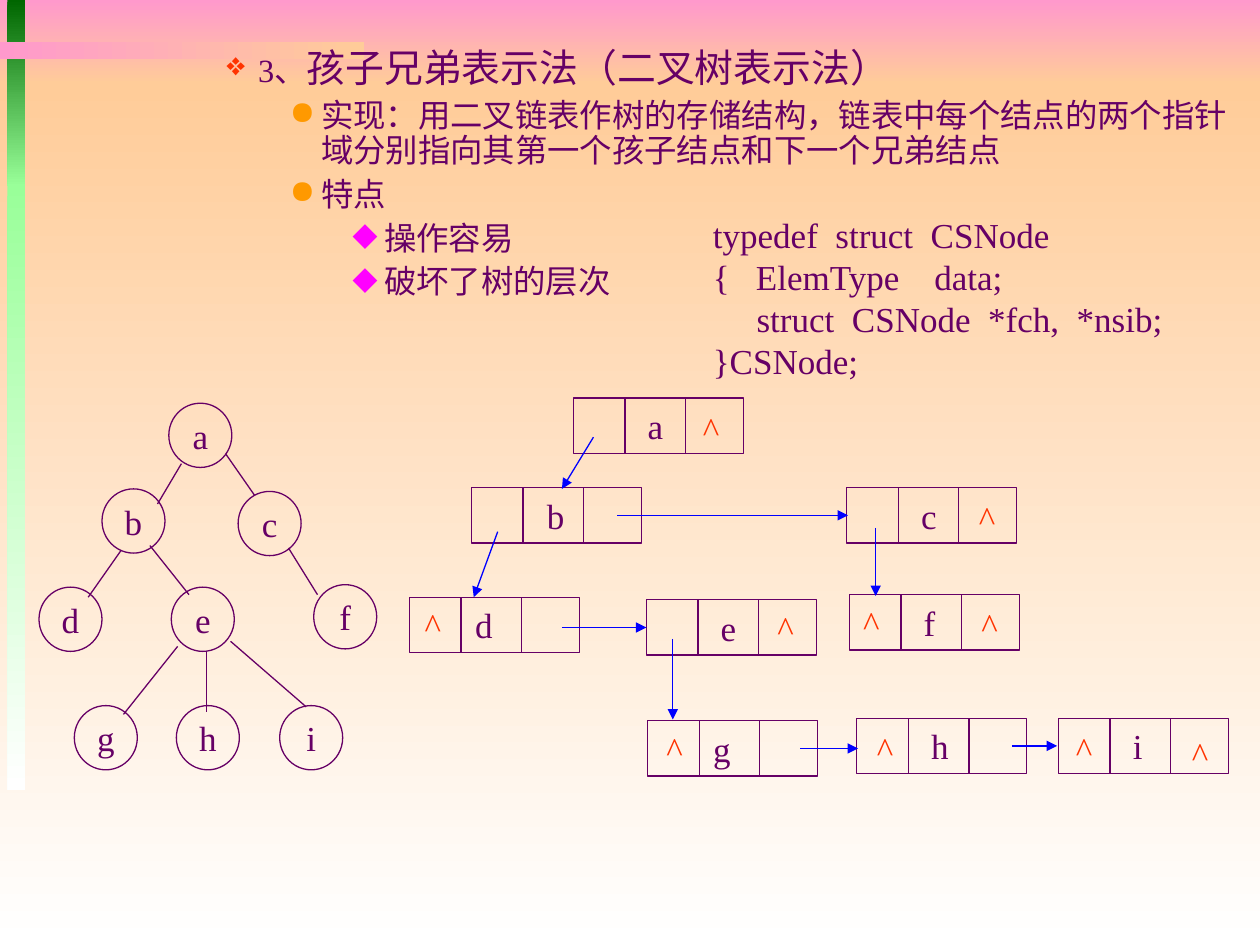
from dataclasses import dataclass

from lxml import etree
from pptx import Presentation
from pptx.dml.color import RGBColor
from pptx.enum.shapes import MSO_CONNECTOR, MSO_SHAPE
from pptx.enum.text import MSO_ANCHOR, PP_ALIGN
from pptx.oxml.ns import qn
from pptx.util import Inches, Pt

STRAIGHT = MSO_CONNECTOR.STRAIGHT
RECTANGLE, OVAL = MSO_SHAPE.RECTANGLE, MSO_SHAPE.OVAL
MIDDLE = MSO_ANCHOR.MIDDLE
LEFT, CENTER = PP_ALIGN.LEFT, PP_ALIGN.CENTER
SERIF, SANS = "Times New Roman", "Arial"
COLORS = {
    "ink": "660066", "mark": "FF3300", "link": "0000FF", "orange": "FF9900",
    "magenta": "FF00FF", "pink": "FF99CC", "peach": "FFCC99", "white": "FFFFFF",
    "dark_green": "006600", "light_green": "99FF99",
}
CELL_WIDTH, CELL_HEIGHT = 1.35, 0.44
DIVIDERS = (0.41, 0.89)
NODE_WIDTH, NODE_HEIGHT = 0.5, 0.51


@dataclass
class Band:
    left: float
    top: float
    width: float
    height: float
    start: str
    end: str
    angle: int = 270


@dataclass
class Bullet:
    symbol: str
    color: str
    indent: float
    runs: tuple
    before: float = 5


@dataclass
class Node:
    label: str
    left: float
    top: float


@dataclass
class Record:
    label: str
    left: float
    top: float
    inset: float
    marks: tuple = ()


BANDS = [
    Band(0, 0, 10, 0.67, "pink", "peach"),
    Band(0, 0.67, 10, 6.83, "peach", "white"),
    Band(0.06, 0, 0.14, 1.48, "dark_green", "light_green"),
    Band(0.06, 1.46, 0.14, 4.81, "light_green", "white"),
    Band(0, 0.33, 2.89, 0.14, "pink", "peach", 0),
]
BULLETS = [
    Bullet("❖", "mark", 1.25, (("3、", 18.5, SERIF), ("孩子兄弟表示法（二叉树表示法）", 22.2, SANS)), 0),
    Bullet("●", "orange", 1.75, (("实现：用二叉链表作树的存储结构，链表中每个结点的两个指针域分别指向其第一个孩子结点和下一个兄弟结点", 18.5, SANS),)),
    Bullet("●", "orange", 1.75, (("特点", 18.5, SANS),)),
    Bullet("◆", "magenta", 2.25, (("操作容易", 18.5, SANS),)),
    Bullet("◆", "magenta", 2.25, (("破坏了树的层次", 18.5, SANS),)),
]
CODE = [
    "typedef  struct  CSNode",
    "{   ElemType    data;",
    "     struct  CSNode  *fch,  *nsib;",
    "}CSNode;",
]
NODES = [
    Node("a", 1.34, 3.2), Node("b", 0.81, 3.88), Node("c", 1.89, 3.9),
    Node("d", 0.31, 4.66), Node("e", 1.36, 4.66), Node("f", 2.49, 4.64),
    Node("g", 0.59, 5.6), Node("h", 1.4, 5.6), Node("i", 2.22, 5.6),
]
EDGES = [
    (1.44, 3.68, 1.25, 4), (0.96, 4.37, 0.7, 4.74), (1.79, 3.6, 2.02, 3.93),
    (1.19, 4.33, 1.5, 4.72), (2.29, 4.35, 2.52, 4.72), (1.64, 5.17, 1.64, 5.65),
    (1.41, 5.13, 0.98, 5.67), (1.83, 5.09, 2.43, 5.61),
]
RECORDS = [
    Record("a", 4.55, 3.16, 0.59, ((0.93, 0.02),)),
    Record("b", 3.74, 3.87, 0.6),
    Record("c", 6.72, 3.87, 0.59, ((0.95, 0.02),)),
    Record("d", 3.25, 4.74, 0.52, ((0.02, 0),)),
    Record("e", 5.13, 4.76, 0.59, ((0.94, 0),)),
    Record("f", 6.74, 4.72, 0.59, ((0.01, 0), (0.95, 0.02))),
    Record("g", 5.14, 5.72, 0.52, ((0.05, 0),)),
    Record("h", 6.8, 5.7, 0.59, ((0.06, 0.02),)),
    Record("i", 8.4, 5.7, 0.59, ((0.04, 0.02), (0.96, 0.06))),
]
POINTERS = [
    (4.71, 3.47, 4.46, 3.88), (3.95, 4.22, 3.76, 4.74), (4.9, 4.09, 6.73, 4.09),
    (4.46, 4.98, 5.13, 4.98), (5.34, 5.07, 5.34, 5.71), (6.35, 5.94, 6.81, 5.94),
    (8.03, 5.92, 8.39, 5.92), (6.95, 4.19, 6.95, 4.73),
]


def rgb(name: str) -> RGBColor:
    return RGBColor.from_string(COLORS[name])


def add_run(paragraph, text: str, size: float = 20, font: str = SERIF, color: str = "ink") -> None:
    run = paragraph.add_run()
    run.text = text
    run.font.size, run.font.name = Pt(size), font
    run.font.color.rgb = rgb(color)


def add_band(slide, band: Band) -> None:
    shape = slide.shapes.add_shape(
        RECTANGLE, Inches(band.left), Inches(band.top), Inches(band.width), Inches(band.height))
    shape.shadow.inherit = False
    shape.line.fill.background()
    shape.fill.gradient()
    shape.fill.gradient_angle = band.angle
    for stop, name in zip(shape.fill.gradient_stops, (band.start, band.end)):
        stop.color.rgb = rgb(name)


def add_line(slide, ends: tuple, color: str = "ink", arrow: bool = False) -> None:
    line = slide.shapes.add_connector(STRAIGHT, *(Inches(value) for value in ends))
    line.line.color.rgb, line.line.width = rgb(color), Pt(0.75)
    if arrow:
        etree.SubElement(line.line._get_or_add_ln(), qn("a:tailEnd"), type="triangle")
    etree.SubElement(line._element.spPr, qn("a:effectLst"))


def add_outline(slide, kind, item, width: float, height: float, inset: float, align) -> None:
    shape = slide.shapes.add_shape(
        kind, Inches(item.left), Inches(item.top), Inches(width), Inches(height))
    shape.shadow.inherit = False
    shape.fill.background()
    shape.line.color.rgb, shape.line.width = rgb("ink"), Pt(0.75)
    frame = shape.text_frame
    frame.word_wrap, frame.vertical_anchor = align == LEFT, MIDDLE
    frame.margin_left = Inches(inset)
    frame.paragraphs[0].alignment = align
    add_run(frame.paragraphs[0], item.label)


def add_text_frame(slide, left: float, top: float, width: float, height: float):
    box = slide.shapes.add_textbox(Inches(left), Inches(top), Inches(width), Inches(height))
    return box.text_frame


def add_record(slide, record: Record) -> None:
    add_outline(slide, RECTANGLE, record, CELL_WIDTH, CELL_HEIGHT, record.inset, LEFT)
    for offset in DIVIDERS:
        left = record.left + offset
        add_line(slide, (left, record.top, left, record.top + CELL_HEIGHT))


def add_marks(slide, record: Record) -> None:
    for across, down in record.marks:
        frame = add_text_frame(slide, record.left + across, record.top + down, 0.33, 0.44)
        frame.word_wrap, frame.vertical_anchor = False, MIDDLE
        frame.paragraphs[0].alignment = CENTER
        add_run(frame.paragraphs[0], "^", color="mark")


def add_bullets(slide) -> None:
    frame = add_text_frame(slide, 0.7, 0.34, 9.3, 2.4)
    frame.word_wrap = True
    for index, bullet in enumerate(BULLETS):
        paragraph = frame.add_paragraph() if index else frame.paragraphs[0]
        properties = paragraph._p.get_or_add_pPr()
        properties.set("marL", str(Inches(bullet.indent)))
        properties.set("indent", str(Inches(-0.25)))
        color = etree.SubElement(properties, qn("a:buClr"))
        etree.SubElement(color, qn("a:srgbClr"), val=COLORS[bullet.color])
        etree.SubElement(properties, qn("a:buChar"), char=bullet.symbol)
        paragraph.line_spacing, paragraph.space_before = 0.9, Pt(bullet.before)
        for text, size, font in bullet.runs:
            add_run(paragraph, text, size, font)


def add_code(slide) -> None:
    frame = add_text_frame(slide, 5.56, 1.64, 3.77, 1.44)
    frame.word_wrap, frame.vertical_anchor = False, MIDDLE
    for index, text in enumerate(CODE):
        paragraph = frame.add_paragraph() if index else frame.paragraphs[0]
        add_run(paragraph, text)


def main() -> None:
    """Build the slide on the child-sibling representation of a tree."""
    presentation = Presentation()
    presentation.slide_width, presentation.slide_height = Inches(10), Inches(7.5)
    slide = presentation.slides.add_slide(presentation.slide_layouts[6])
    for band in BANDS:
        add_band(slide, band)
    add_bullets(slide)
    add_code(slide)
    for node in NODES:
        add_outline(slide, OVAL, node, NODE_WIDTH, NODE_HEIGHT, 0.1, CENTER)
    for edge in EDGES:
        add_line(slide, edge)
    for record in RECORDS:
        add_record(slide, record)
    for pointer in POINTERS:
        add_line(slide, pointer, "link", True)
    for record in RECORDS:
        add_marks(slide, record)
    presentation.save("out.pptx")


if __name__ == "__main__":
    main()
